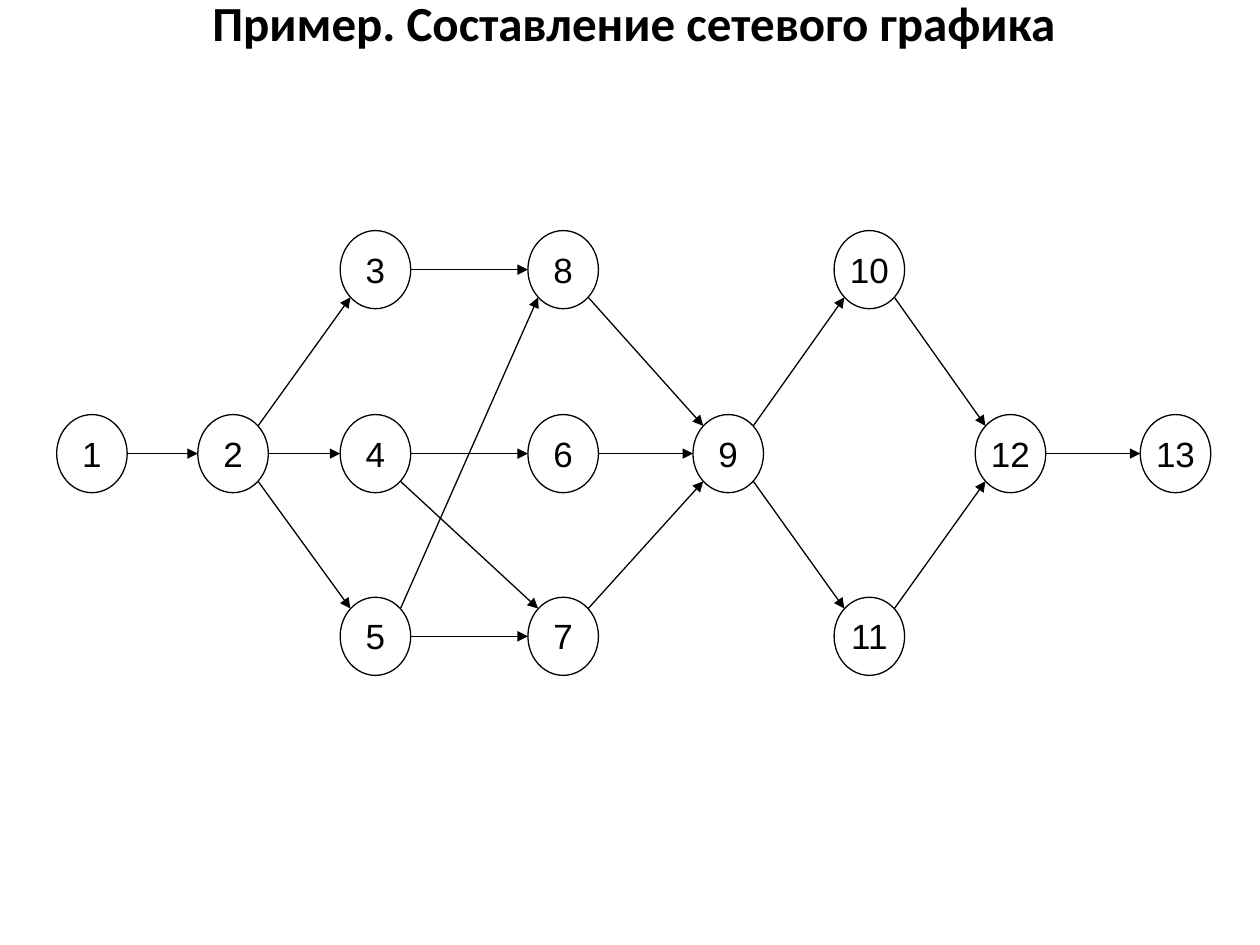
from lxml import etree
from pptx import Presentation
from pptx.dml.color import RGBColor
from pptx.enum import shapes, text
from pptx.oxml.ns import qn
from pptx.util import Inches, Pt

BLACK = RGBColor(0, 0, 0)
WHITE = RGBColor(255, 255, 255)

TITLE = "Пример. Составление сетевого графика"

# Events of the network: number -> (column, row)
EVENTS = {
    1: (0, 1), 2: (1, 1), 3: (2, 0), 4: (2, 1), 5: (2, 2),
    8: (3, 0), 6: (3, 1), 7: (3, 2), 9: (4, 1),
    10: (5, 0), 11: (5, 2), 12: (6, 1), 13: (7, 1),
}
# Activities: (from event, to event)
ACTIVITIES = [
    (1, 2), (2, 3), (2, 4), (2, 5), (3, 8), (4, 6), (5, 7), (5, 8), (4, 7),
    (8, 9), (6, 9), (7, 9), (9, 10), (9, 11), (11, 12), (10, 12), (12, 13),
]

# Centres of the grid's columns and rows, and the event size, in inches
COLUMNS = [0.73, 1.85, 2.98, 4.47, 5.78, 6.9, 8.02, 9.33]
ROWS = [2.14, 3.6, 5.05]
EVENT_WIDTH, EVENT_HEIGHT = 0.56, 0.62
DIAGONAL = 0.71  # share of the radius at 45 degrees


def centre(event):
    column, row = EVENTS[event]
    return COLUMNS[column], ROWS[row]


def edge_point(event, side, slope):
    """Point on an event's outline; side is 1 for right, -1 for left."""
    x, y = centre(event)
    share = DIAGONAL if slope else 1
    return (x + side * share * EVENT_WIDTH / 2,
            y + slope * DIAGONAL * EVENT_HEIGHT / 2)


def add_event(slide, event):
    x, y = centre(event)
    shape = slide.shapes.add_shape(
        shapes.MSO_SHAPE.OVAL,
        Inches(x - EVENT_WIDTH / 2), Inches(y - EVENT_HEIGHT / 2),
        Inches(EVENT_WIDTH), Inches(EVENT_HEIGHT))
    shape.shadow.inherit = False
    shape.fill.solid()
    shape.fill.fore_color.rgb = WHITE
    shape.line.color.rgb = BLACK
    shape.line.width = Pt(0.75)
    frame = shape.text_frame
    frame.margin_left = frame.margin_right = Inches(0.02)
    frame.margin_top, frame.margin_bottom = Inches(0.04), Inches(0.05)
    frame.vertical_anchor = text.MSO_ANCHOR.MIDDLE
    write(frame, str(event), "Arial", 20)


def add_activity(slide, start, end):
    rise = EVENTS[end][1] - EVENTS[start][1]
    slope = (rise > 0) - (rise < 0)
    points = edge_point(start, 1, slope) + edge_point(end, -1, -slope)
    connector = slide.shapes.add_connector(
        shapes.MSO_CONNECTOR.STRAIGHT, *map(Inches, points))
    connector.line.color.rgb = BLACK
    connector.line.width = Pt(0.75)
    # Arrowhead, and no shadow
    line = connector.line._get_or_add_ln()
    etree.SubElement(line, qn("a:tailEnd"), type="triangle")
    etree.SubElement(connector._element.spPr, qn("a:effectLst"))


def write(frame, words, font_name, size, bold=False):
    paragraph = frame.paragraphs[0]
    paragraph.text = words
    paragraph.alignment = text.PP_ALIGN.CENTER
    font = paragraph.font
    font.name, font.size, font.bold = font_name, Pt(size), bold
    font.color.rgb = BLACK


def main():
    presentation = Presentation()
    presentation.slide_width, presentation.slide_height = Inches(10), Inches(7.5)
    slide = presentation.slides.add_slide(presentation.slide_layouts[6])

    # Title
    title = slide.shapes.add_textbox(
        Inches(0.59), Inches(-0.11), Inches(8.88), Inches(0.57))
    title.text_frame.word_wrap = True
    write(title.text_frame, TITLE, "Calibri", 28, bold=True)

    # Network diagram
    for event in EVENTS:
        add_event(slide, event)
    for start, end in ACTIVITIES:
        add_activity(slide, start, end)

    presentation.save("out.pptx")


if __name__ == "__main__":
    main()
